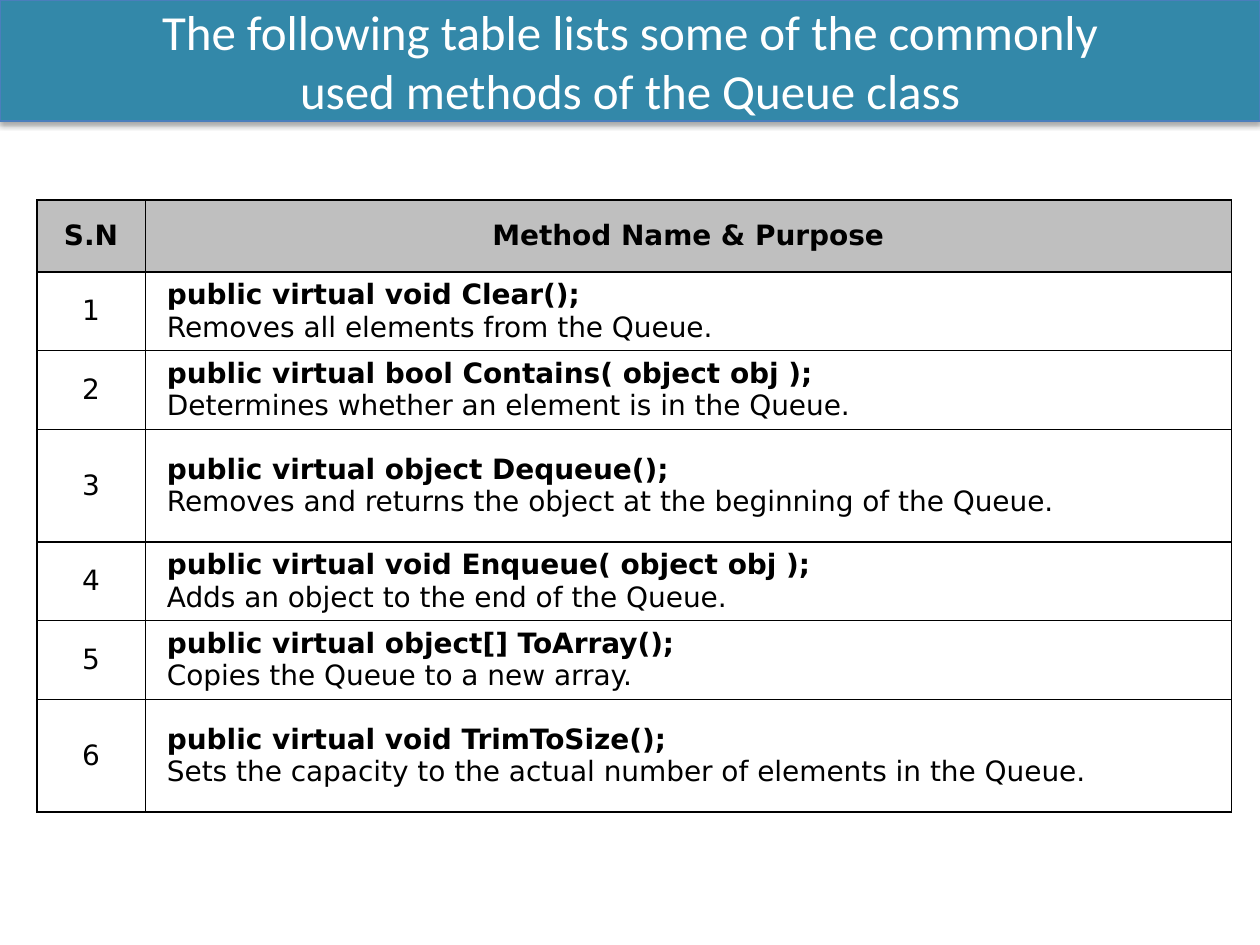
from dataclasses import dataclass

from lxml import etree
from pptx import Presentation
from pptx.dml.color import RGBColor
from pptx.enum.text import MSO_ANCHOR, MSO_AUTO_SIZE, PP_ALIGN
from pptx.oxml import parse_xml
from pptx.oxml.ns import nsdecls, qn
from pptx.util import Pt

MIDDLE = MSO_ANCHOR.MIDDLE
CENTER, LEFT = PP_ALIGN.CENTER, PP_ALIGN.LEFT
NO_FIT = MSO_AUTO_SIZE.NONE
TITLE_ONLY = 5


@dataclass(frozen=True)
class Theme:
    """Colours, fonts and type sizes of the slide."""
    banner: str = "3388A9"
    banner_line: str = "4B7EBC"
    header: str = "BFBFBF"
    ink: str = "000000"
    paper: str = "FFFFFF"
    title_font: str = "Calibri"
    title_size: float = 28
    table_font: str = "DejaVu Sans"
    table_size: float = 16


THEME = Theme()
TITLE = "The following table lists some of the commonly used methods of the Queue class"
HEADINGS = ("S.N", "Method Name & Purpose")
METHODS = (
    ("public virtual void Clear();", "Removes all elements from the Queue."),
    ("public virtual bool Contains( object obj );",
     "Determines whether an element is in the Queue."),
    ("public virtual object Dequeue();",
     "Removes and returns the object at the beginning of the Queue."),
    ("public virtual void Enqueue( object obj );", "Adds an object to the end of the Queue."),
    ("public virtual object[] ToArray();", "Copies the Queue to a new array."),
    ("public virtual void TrimToSize();",
     "Sets the capacity to the actual number of elements in the Queue."),
)
COLUMNS = (62, 620.6)
HEADER_ROW, SHORT_ROW, TALL_ROW = 41.1, 45, 64.3
INDENT = 9.4


def set_attrs(target, values):
    """Set each named attribute of the target."""
    for name, value in values.items():
        setattr(target, name, value)


def add_run(p, text, font, size, color, bold=False):
    """Add a formatted run to a paragraph."""
    r = p.add_run()
    r.text = text
    set_attrs(r.font, {"name": font, "size": Pt(size), "bold": bold})
    r.font.color.rgb = RGBColor.from_string(color)


def add_shadow(sp):
    """Give a shape a soft shadow below it."""
    sp._element.spPr.append(parse_xml(
        f'<a:effectLst {nsdecls("a")}>'
        f'<a:outerShdw blurRad="{Pt(3.1)}" dist="{Pt(1.8)}" dir="5400000" rotWithShape="0">'
        f'<a:srgbClr val="{THEME.ink}"><a:alpha val="35000"/></a:srgbClr>'
        '</a:outerShdw></a:effectLst>'))


def format_title(s):
    """Turn the title placeholder into the banner across the top."""
    sp = s.shapes.title
    set_attrs(sp, {"left": Pt(0), "top": Pt(0), "width": Pt(720), "height": Pt(69.1)})
    sp.fill.solid()
    sp.fill.fore_color.rgb = RGBColor.from_string(THEME.banner)
    sp.line.color.rgb = RGBColor.from_string(THEME.banner_line)
    sp.line.width = Pt(0.75)
    add_shadow(sp)
    tf = sp.text_frame
    set_attrs(tf, {"word_wrap": True, "auto_size": NO_FIT, "vertical_anchor": MIDDLE,
                   "margin_left": Pt(72), "margin_right": Pt(72)})
    p = tf.paragraphs[0]
    p.alignment = CENTER
    add_run(p, TITLE, THEME.title_font, THEME.title_size, THEME.paper)


def format_cell(cell, fill=None):
    """Set the margins, borders and fill of a cell."""
    set_attrs(cell, {f"margin_{side}": Pt(3) for side in ("left", "right", "top", "bottom")})
    cell.vertical_anchor = MIDDLE
    tc_pr = cell._tc.get_or_add_tcPr()
    for side in "LRTB":
        ln = etree.SubElement(tc_pr, qn(f"a:ln{side}"), w=str(Pt(1)))
        color = etree.SubElement(etree.SubElement(ln, qn("a:solidFill")), qn("a:srgbClr"))
        color.set("val", THEME.ink)
    if fill:
        cell.fill.solid()
        cell.fill.fore_color.rgb = RGBColor.from_string(fill)
    else:
        cell.fill.background()


def write_cell(cell, lines, align=CENTER, indent=0):
    """Write lines of (text, bold) as one paragraph of a cell."""
    p = cell.text_frame.paragraphs[0]
    p.alignment = align
    if indent:
        p._p.get_or_add_pPr().set("marL", str(Pt(indent)))
    for i, (text, bold) in enumerate(lines):
        if i:
            p.add_line_break()
        add_run(p, text, THEME.table_font, THEME.table_size, THEME.ink, bold)


def add_method_table(s):
    """Add the table of numbered methods and their purposes."""
    heights = [HEADER_ROW] + [SHORT_ROW, SHORT_ROW, TALL_ROW] * 2
    frame = s.shapes.add_table(len(heights), len(COLUMNS), Pt(21), Pt(114.3),
                               Pt(sum(COLUMNS)), Pt(sum(heights)))
    table = frame.table
    table.horz_banding = False
    for column, width in zip(table.columns, COLUMNS):
        column.width = Pt(width)
    for row, height in zip(table.rows, heights):
        row.height = Pt(height)
    for i, heading in enumerate(HEADINGS):
        format_cell(table.cell(0, i), THEME.header)
        write_cell(table.cell(0, i), [(heading, True)])
    for n, (signature, purpose) in enumerate(METHODS, 1):
        number, method = table.cell(n, 0), table.cell(n, 1)
        format_cell(number)
        format_cell(method)
        write_cell(number, [(str(n), False)])
        write_cell(method, [(signature, True), (purpose, False)], LEFT, INDENT)


def main():
    """Build the slide and save it."""
    prs = Presentation()
    set_attrs(prs, {"slide_width": Pt(720), "slide_height": Pt(540)})
    s = prs.slides.add_slide(prs.slide_layouts[TITLE_ONLY])
    add_method_table(s)
    format_title(s)
    prs.save("out.pptx")


if __name__ == "__main__":
    main()
